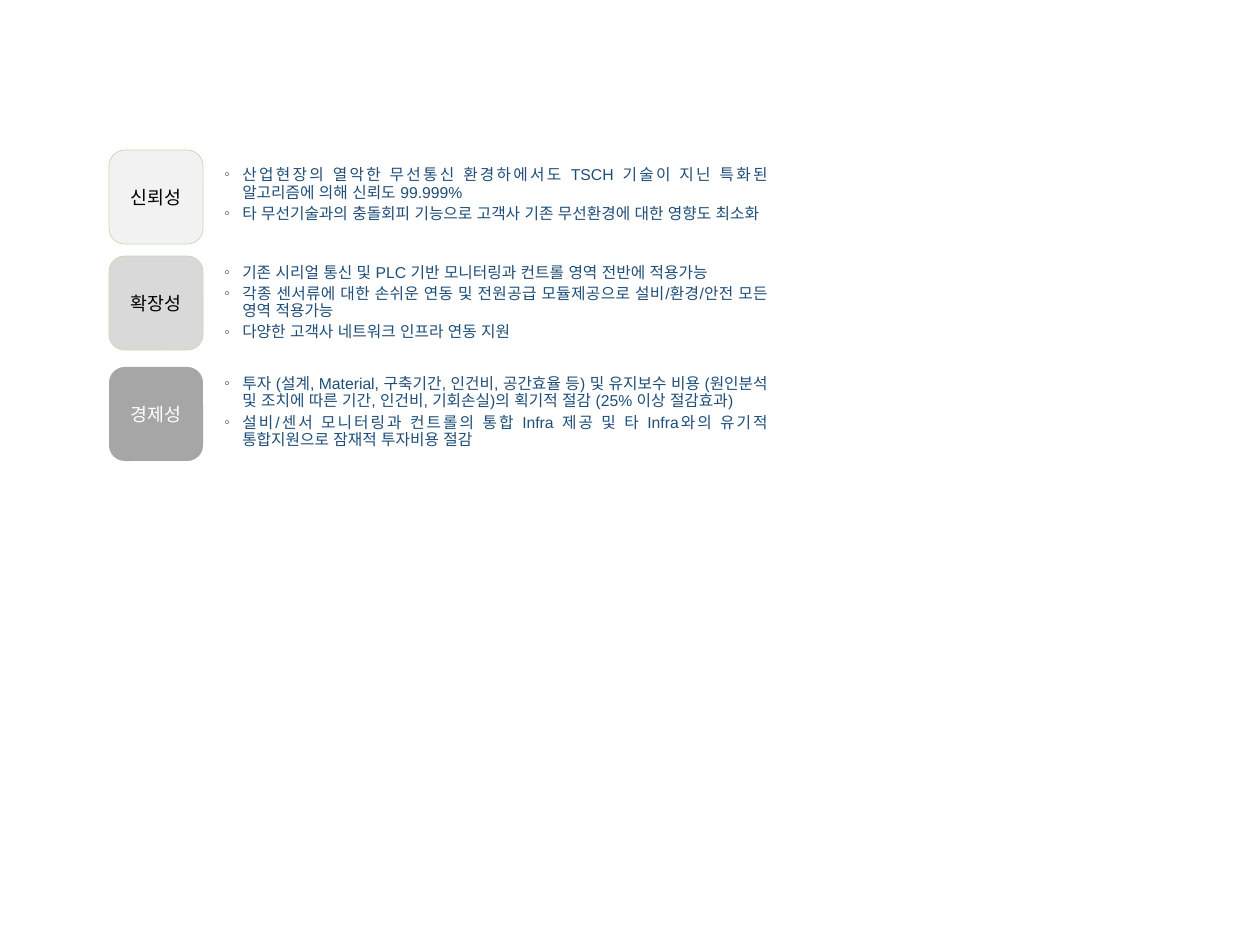
"""Build a slide of three labelled tiles, each with a bulleted benefit list."""
from lxml import etree
from pptx import Presentation
from pptx.dml.color import RGBColor
from pptx.enum.shapes import MSO_SHAPE
from pptx.enum.text import MSO_ANCHOR, PP_ALIGN
from pptx.oxml.ns import qn
from pptx.util import Pt

ROUNDED = MSO_SHAPE.ROUNDED_RECTANGLE
MIDDLE = MSO_ANCHOR.MIDDLE
CENTER, JUSTIFY = PP_ALIGN.CENTER, PP_ALIGN.JUSTIFY

SLIDE_WIDTH, SLIDE_HEIGHT = 1260, 945
EMU_PER_PX = 914400 / 94.5
TILE_LEFT, TILE_SIZE = 109, 94
PANEL_LEFT, PANEL_WIDTH = 215, 562
BULLET_INDENT = 18
TILE_LINE, BODY_COLOR = "BEDCAA", "1F4E79"

BENEFITS = [
    {
        "label": "신뢰성", "tile_top": 150, "fill": "F2F2F2", "line": TILE_LINE, "color": "000000",
        "panel_top": 150, "panel_height": 89, "panel_fill": None,
        "points": [
            "산업현장의 열악한 무선통신 환경하에서도 TSCH 기술이 지닌 특화된 알고리즘에 의해 신뢰도 99.999%",
            "타 무선기술과의 충돌회피 기능으로 고객사 기존 무선환경에 대한 영향도 최소화",
        ],
    },
    {
        "label": "확장성", "tile_top": 256, "fill": "D9D9D9", "line": TILE_LINE, "color": "000000",
        "panel_top": 253, "panel_height": 99, "panel_fill": None,
        "points": [
            "기존 시리얼 통신 및 PLC 기반 모니터링과 컨트롤 영역 전반에 적용가능",
            "각종 센서류에 대한 손쉬운 연동 및 전원공급 모듈제공으로 설비/환경/안전 모든 영역 적용가능",
            "다양한 고객사 네트워크 인프라 연동 지원",
        ],
    },
    {
        "label": "경제성", "tile_top": 367, "fill": "A6A6A6", "line": None, "color": "FFFFFF",
        "panel_top": 364, "panel_height": 96, "panel_fill": "FFFFFF",
        "points": [
            "투자 (설계, Material, 구축기간, 인건비, 공간효율 등) 및 유지보수 비용 "
            "(원인분석 및 조치에 따른 기간, 인건비, 기회손실)의 획기적 절감 (25% 이상 절감효과)",
            "설비/센서 모니터링과 컨트롤의 통합 Infra 제공 및 타 Infra와의 유기적 "
            "통합지원으로 잠재적 투자비용 절감",
        ],
    },
]


def px(length):
    return round(length * EMU_PER_PX)


def rgb(color):
    return RGBColor.from_string(color)


def add_box(page, left, top, width, height, fill, line=None):
    box = page.shapes.add_shape(ROUNDED, px(left), px(top), px(width), px(height))
    box.shadow.inherit = False
    if fill:
        box.fill.solid()
        box.fill.fore_color.rgb = rgb(fill)
    else:
        box.fill.background()
    if line:
        box.line.color.rgb = rgb(line)
        box.line.width = Pt(0.5)
    else:
        box.line.fill.background()
    box.text_frame.word_wrap = True
    box.text_frame.vertical_anchor = MIDDLE
    return box


def format_para(para, font, size, color, align):
    para.alignment = align
    para.font.size = Pt(size)
    for span in para.runs:
        span.font.name = font
        span.font.size = Pt(size)
        span.font.color.rgb = rgb(color)
        east_asian = etree.SubElement(span.font._element, qn("a:ea"))
        east_asian.set("typeface", font)


def add_bullet(para):
    properties = para._p.get_or_add_pPr()
    properties.set("marL", str(px(BULLET_INDENT)))
    properties.set("indent", str(-px(BULLET_INDENT)))
    etree.SubElement(properties, qn("a:buFont")).set("typeface", "Arial")
    etree.SubElement(properties, qn("a:buChar")).set("char", "◦")


def add_tile(page, benefit):
    box = add_box(page, TILE_LEFT, benefit["tile_top"], TILE_SIZE, TILE_SIZE,
                  benefit["fill"], benefit["line"])
    box.text_frame.text = benefit["label"]
    format_para(box.text_frame.paragraphs[0], "Calibri", 14, benefit["color"], CENTER)


def add_panel(page, benefit):
    box = add_box(page, PANEL_LEFT, benefit["panel_top"], PANEL_WIDTH,
                  benefit["panel_height"], benefit["panel_fill"])
    box.adjustments[0] = 0
    box.text_frame.text = "\n".join(benefit["points"])
    for para in box.text_frame.paragraphs:
        add_bullet(para)
        para.line_spacing = Pt(13.2)
        para.space_after = Pt(3)
        format_para(para, "Arial", 12, BODY_COLOR, JUSTIFY)


def main():
    deck = Presentation()
    deck.slide_width, deck.slide_height = px(SLIDE_WIDTH), px(SLIDE_HEIGHT)
    page = deck.slides.add_slide(deck.slide_layouts[6])
    for benefit in BENEFITS:
        add_tile(page, benefit)
        add_panel(page, benefit)
    deck.save("out.pptx")


if __name__ == "__main__":
    main()
